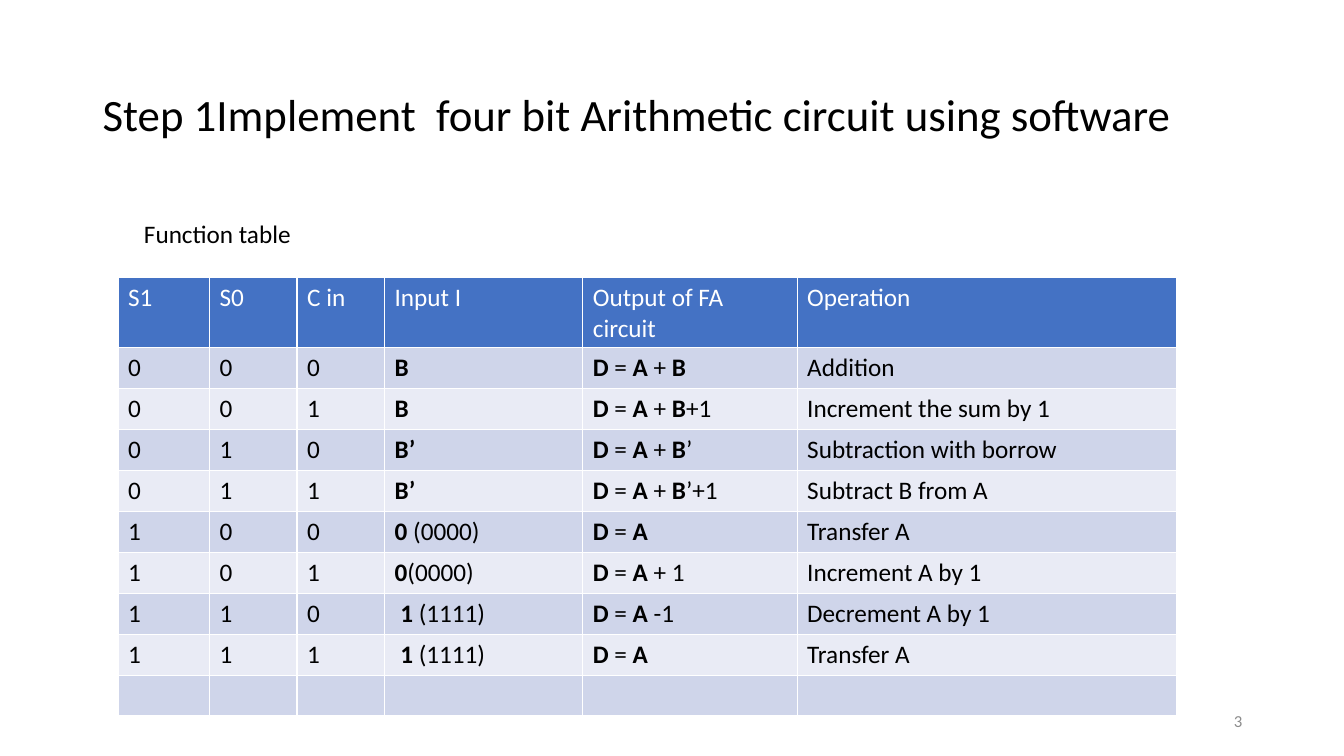
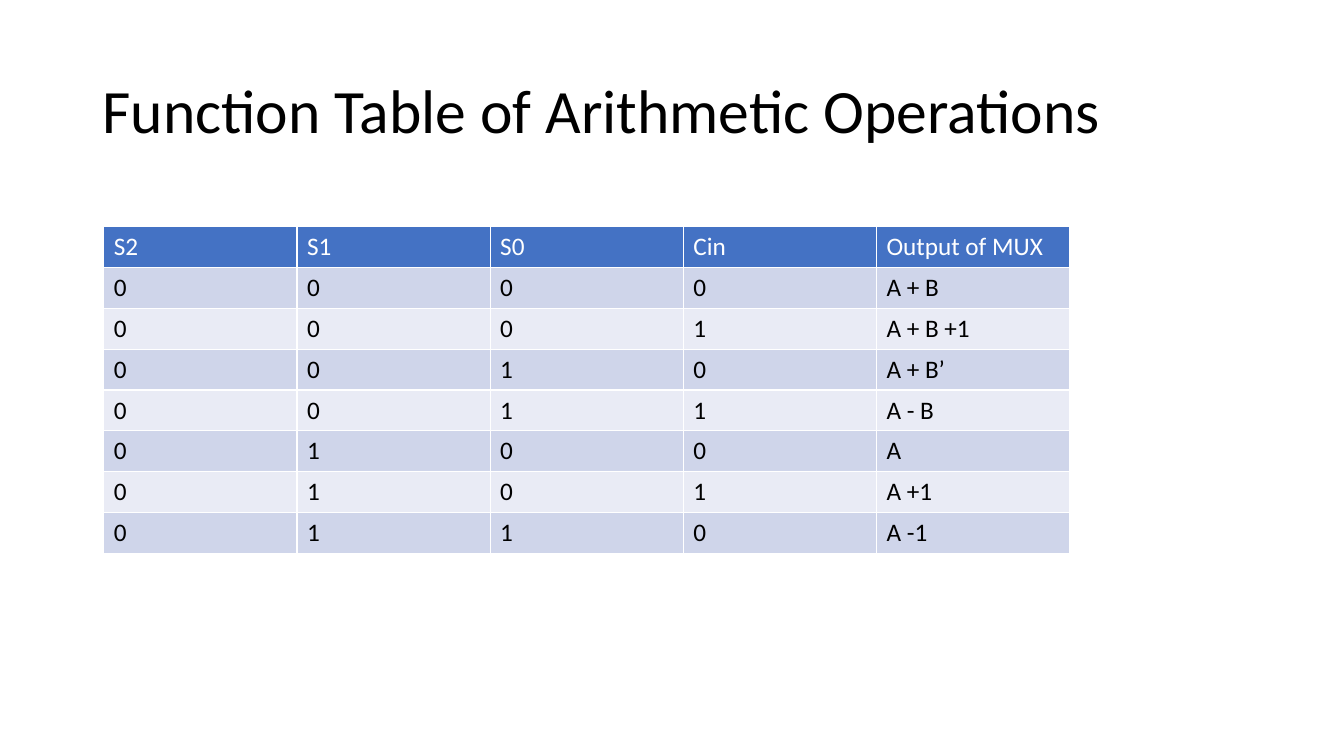
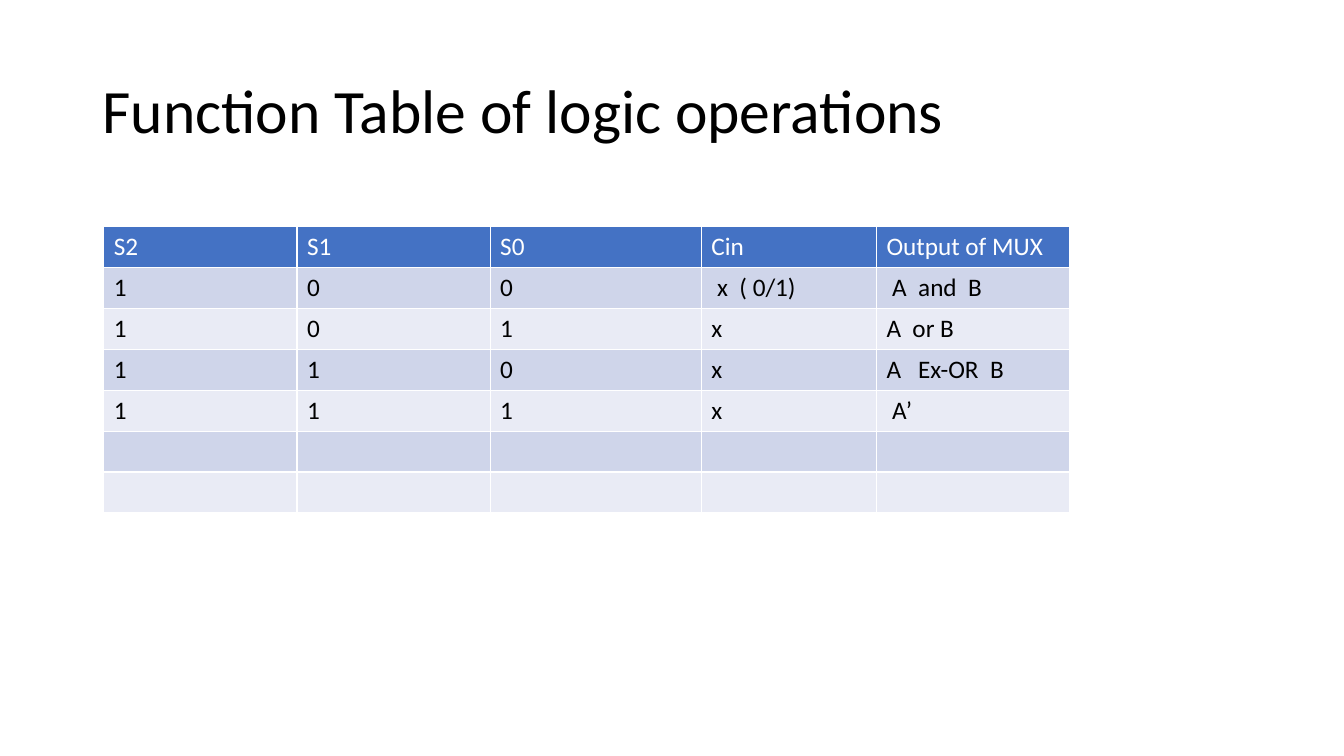
from dataclasses import dataclass

from pptx import Presentation
from pptx.dml.color import RGBColor
from pptx.enum.text import MSO_ANCHOR, PP_ALIGN
from pptx.util import Inches, Pt

LEFT, RIGHT = PP_ALIGN.LEFT, PP_ALIGN.RIGHT
TOP, MIDDLE = MSO_ANCHOR.TOP, MSO_ANCHOR.MIDDLE


@dataclass(frozen=True)
class Theme:
    font: str = "Calibri"
    ink: str = "000000"
    header_ink: str = "FFFFFF"
    footer_ink: str = "8C8C8C"
    header: str = "4472C4"
    bands: tuple = ("CFD5EA", "E9EBF5")
    title: int = 44
    long_title: int = 32
    body: int = 18
    footer: int = 12


T = Theme()


def write(tf, text, size=T.body, color=T.ink, align=LEFT, spacing=None,
          anchor=TOP, wrap=True):
    """Fill a text frame; parts between asterisks are bold."""
    tf.word_wrap = wrap
    tf.vertical_anchor = anchor
    p = tf.paragraphs[0]
    p.alignment = align
    if spacing:
        p.line_spacing = spacing
    for i, part in enumerate(text.split("*")):
        if part:
            r = p.add_run()
            r.text = part
            r.font.name = T.font
            r.font.size = Pt(size)
            r.font.bold = i % 2 == 1
            r.font.color.rgb = RGBColor.from_string(color)


def add_text(s, box, text, **fmt):
    sp = s.shapes.add_textbox(*map(Inches, box))
    write(sp.text_frame, text, **fmt)


# Slide content: title, title format, table box, column widths, rows
SLIDES = [
    ("Step 1Implement  four bit Arithmetic circuit using software",
     {"size": T.long_title},
     (1.17, 2.75, 10.5, 4.06), (0.91, 0.87, 0.87, 1.97, 2.13, 3.77),
     [
         ("S1", "S0", "C in", "Input I", "Output of FA circuit", "Operation"),
         ("0", "0", "0", "*B*", "*D* = *A* + *B*", "Addition"),
         ("0", "0", "1", "*B*", "*D* = *A* + *B*+1", "Increment the sum by 1"),
         ("0", "1", "0", "*B’*", "*D* = *A* + *B*’", "Subtraction with borrow"),
         ("0", "1", "1", "*B’*", "*D* = *A* + *B*’+1", "Subtract B from A"),
         ("1", "0", "0", "*0* (0000)", "*D* = *A*", "Transfer A"),
         ("1", "0", "1", "*0*(0000)", "*D* = *A* + 1", "Increment A by 1"),
         ("1", "1", "0", "* 1 *(1111)", "*D* = *A* -1", "Decrement A by 1"),
         ("1", "1", "1", "* 1 *(1111)", "*D* = *A*", "Transfer A"),
         ("",) * 6,
     ]),
    ("Function Table of Arithmetic Operations",
     {"size": T.title, "spacing": 0.9},
     (1.03, 2.25, 9.58, 3.24), (1.92,) * 5,
     [
         ("S2", "S1", "S0", "Cin", "Output of MUX"),
         ("0", "0", "0", "0", "A + B"),
         ("0", "0", "0", "1", "A + B +1"),
         ("0", "0", "1", "0", "A + B’"),
         ("0", "0", "1", "1", "A - B"),
         ("0", "1", "0", "0", "A"),
         ("0", "1", "0", "1", "A +1"),
         ("0", "1", "1", "0", "A -1"),
     ]),
    ("Function Table of logic operations",
     {"size": T.title, "spacing": 0.9},
     (1.03, 2.25, 9.58, 2.84), (1.92, 1.92, 2.1, 1.74, 1.92),
     [
         ("S2", "S1", "S0", "Cin", "Output of MUX"),
         ("1", "0", "0", " x  ( 0/1)", " A  and  B"),
         ("1", "0", "1", "x", "A  or B"),
         ("1", "1", "0", "x", "A   Ex-OR  B"),
         ("1", "1", "1", "x", " A’"),
         ("",) * 5,
         ("",) * 5,
     ]),
]

prs = Presentation()
prs.slide_width, prs.slide_height = Inches(13.33), Inches(7.5)
blank = prs.slide_layouts[6]

# Title and function table on every slide
for title, title_fmt, box, widths, rows in SLIDES:
    s = prs.slides.add_slide(blank)
    add_text(s, (0.92, 0.4, 11.5, 1.45), title, anchor=MIDDLE, **title_fmt)

    table = s.shapes.add_table(len(rows), len(widths), *map(Inches, box)).table
    for column, width in zip(table.columns, widths):
        column.width = Inches(box[2] * width / sum(widths))
    for i, row in enumerate(rows):
        fill = T.bands[(i - 1) % 2] if i else T.header
        ink = T.ink if i else T.header_ink
        for j, text in enumerate(row):
            cell = table.cell(i, j)
            cell.fill.solid()
            cell.fill.fore_color.rgb = RGBColor.from_string(fill)
            write(cell.text_frame, text, color=ink)

# Page number and table caption on the first slide
s = prs.slides[0]
add_text(s, (9.42, 6.95, 3, 0.4), "3", size=T.footer, color=T.footer_ink,
         align=RIGHT, anchor=MIDDLE)
add_text(s, (1.33, 2.12, 1.73, 0.4), "Function table", wrap=False)

prs.save("out.pptx")
